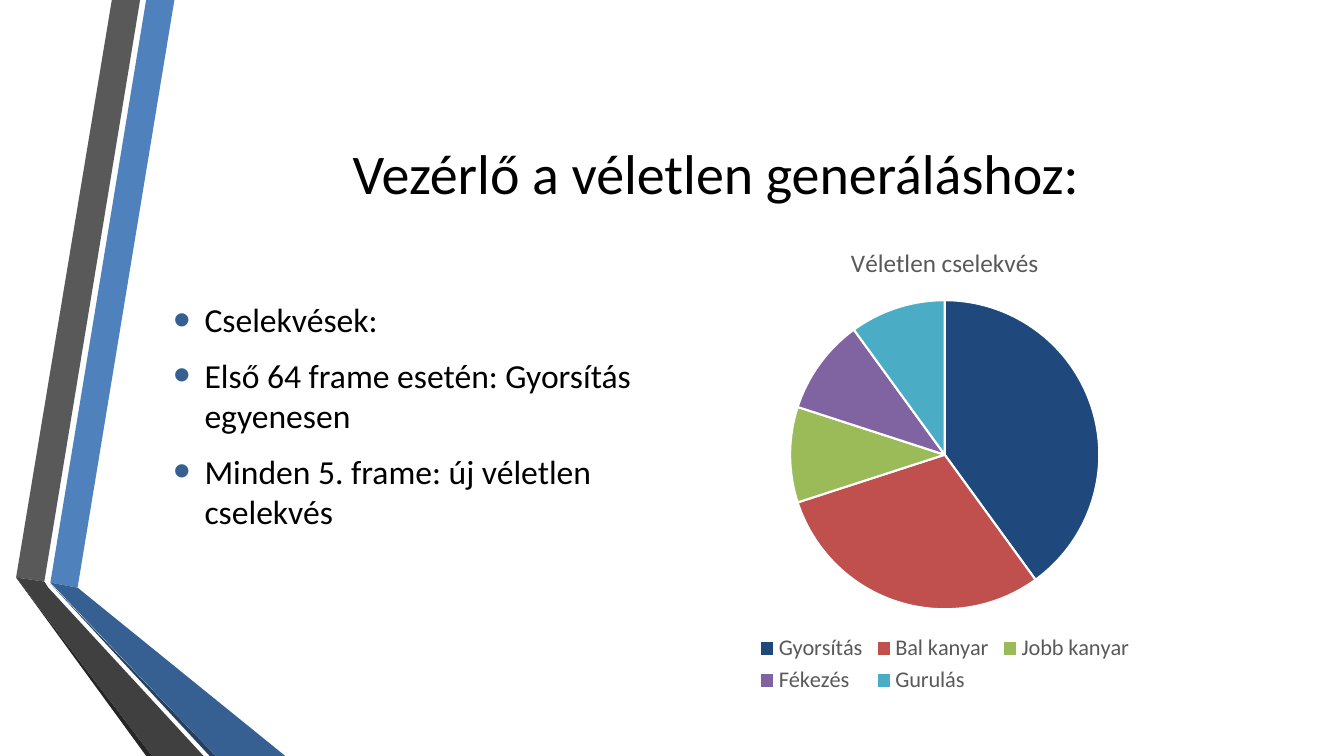
from dataclasses import dataclass

from lxml.etree import SubElement
from pptx import Presentation
from pptx.chart.data import CategoryChartData
from pptx.dml.color import RGBColor
from pptx.enum.chart import XL_CHART_TYPE, XL_LEGEND_POSITION
from pptx.enum.text import MSO_ANCHOR, PP_ALIGN
from pptx.oxml.ns import qn
from pptx.slide import Slide
from pptx.util import Inches, Pt

FONT = "Calibri"
BLACK = "000000"
GREY = "595959"
BULLET_BLUE = "376092"


@dataclass
class Band:
    color: str
    points: list[tuple[float, float]]


@dataclass
class Action:
    name: str
    percent: int
    color: str


BANDS = [
    Band("4F81BD", [(0.5, 5.78), (0.77, 5.83), (1.73, 0), (1.45, 0)]),
    Band(GREY, [(1.39, 0), (1.11, 0), (0.16, 5.73), (0.44, 5.77)]),
    Band("262626", [(0.16, 5.73), (1.45, 7.5), (1.51, 7.5)]),
    Band("254061", [(0.5, 5.79), (2.08, 7.5), (2.14, 7.5)]),
    Band(BULLET_BLUE, [(0.5, 5.78), (2.14, 7.5), (2.83, 7.5), (0.77, 5.83)]),
    Band("404040", [(2.02, 7.5), (0.48, 5.83), (0.44, 5.77), (0.16, 5.73), (1.51, 7.5)]),
]

ACTIONS = [
    Action("Gyorsítás", 40, "1F497D"),
    Action("Bal kanyar", 30, "C0504D"),
    Action("Jobb kanyar", 10, "9BBB59"),
    Action("Fékezés", 10, "8064A2"),
    Action("Gurulás", 10, "4BACC6"),
]

BULLETS = [
    "Cselekvések:",
    "Első 64 frame esetén: Gyorsítás egyenesen",
    "Minden 5. frame: új véletlen cselekvés",
]


def rgb(color: str) -> RGBColor:
    return RGBColor.from_string(color)


def style_font(font, size: float, color: str) -> None:
    font.name = FONT
    font.size = Pt(size)
    font.bold = False
    font.color.rgb = rgb(color)


def add_run(para, text: str, size: float, color: str) -> None:
    span = para.add_run()
    span.text = text
    style_font(span.font, size, color)


def draw_band(page: Slide, band: Band) -> None:
    corners = [(Inches(x), Inches(y)) for x, y in band.points]
    builder = page.shapes.build_freeform(*corners[0])
    builder.add_line_segments(corners[1:], close=True)
    shape = builder.convert_to_shape()
    shape.shadow.inherit = False
    shape.fill.solid()
    shape.fill.fore_color.rgb = rgb(band.color)
    shape.line.fill.background()


def write_title(page: Slide, text: str) -> None:
    title = page.shapes.title
    title.left, title.top = Inches(1.62), Inches(0.75)
    title.width, title.height = Inches(10.96), Inches(1.92)
    title.text_frame.vertical_anchor = MSO_ANCHOR.MIDDLE
    para = title.text_frame.paragraphs[0]
    para.alignment = PP_ALIGN.CENTER
    add_run(para, text, 40, BLACK)


def set_bullet(para) -> None:
    properties = para._p.get_or_add_pPr()
    properties.set("marL", str(Inches(0.31)))
    properties.set("indent", str(-Inches(0.31)))
    color = SubElement(properties, qn("a:buClr"))
    SubElement(color, qn("a:srgbClr"), val=BULLET_BLUE)
    SubElement(properties, qn("a:buSzPct"), val="145000")
    SubElement(properties, qn("a:buFont"), typeface="Arial")
    SubElement(properties, qn("a:buChar"), char="•")


def write_bullets(page: Slide, lines: list[str]) -> None:
    box = page.shapes.add_textbox(Inches(1.62), Inches(2.92), Inches(5.35), Inches(3.42))
    frame = box.text_frame
    frame.word_wrap = True
    frame.vertical_anchor = MSO_ANCHOR.TOP
    for index, line in enumerate(lines):
        para = frame.add_paragraph() if index else frame.paragraphs[0]
        para.space_before = Pt(4.8 if index else 0)
        para.space_after = Pt(6)
        set_bullet(para)
        add_run(para, line, 24, BLACK)


def draw_pie(page: Slide, title: str, actions: list[Action]) -> None:
    data = CategoryChartData()
    data.categories = [action.name for action in actions]
    data.add_series(title, [action.percent for action in actions])
    chart = page.shapes.add_chart(
        XL_CHART_TYPE.PIE, Inches(6.39), Inches(2.24), Inches(5.96), Inches(4.69), data
    ).chart
    style_font(chart.font, 10, BLACK)
    chart.has_title = True
    add_run(chart.chart_title.text_frame.paragraphs[0], title, 18, GREY)
    chart.chart_title.include_in_layout = False
    chart.has_legend = True
    chart.legend.position = XL_LEGEND_POSITION.BOTTOM
    chart.legend.include_in_layout = False
    style_font(chart.legend.font, 16, GREY)
    plot = chart.plots[0]
    plot.vary_by_categories = True
    for index, action in enumerate(actions):
        slice_format = plot.series[0].points[index].format
        slice_format.fill.solid()
        slice_format.fill.fore_color.rgb = rgb(action.color)
        slice_format.line.color.rgb = rgb("FFFFFF")
        slice_format.line.width = Pt(1.5)


def main() -> None:
    deck = Presentation()
    deck.slide_width, deck.slide_height = Inches(13.33), Inches(7.5)
    page = deck.slides.add_slide(deck.slide_layouts[5])
    for band in BANDS:
        draw_band(page, band)
    write_title(page, "Vezérlő a véletlen generáláshoz:")
    write_bullets(page, BULLETS)
    draw_pie(page, "Véletlen cselekvés", ACTIONS)
    deck.save("out.pptx")


if __name__ == "__main__":
    main()
